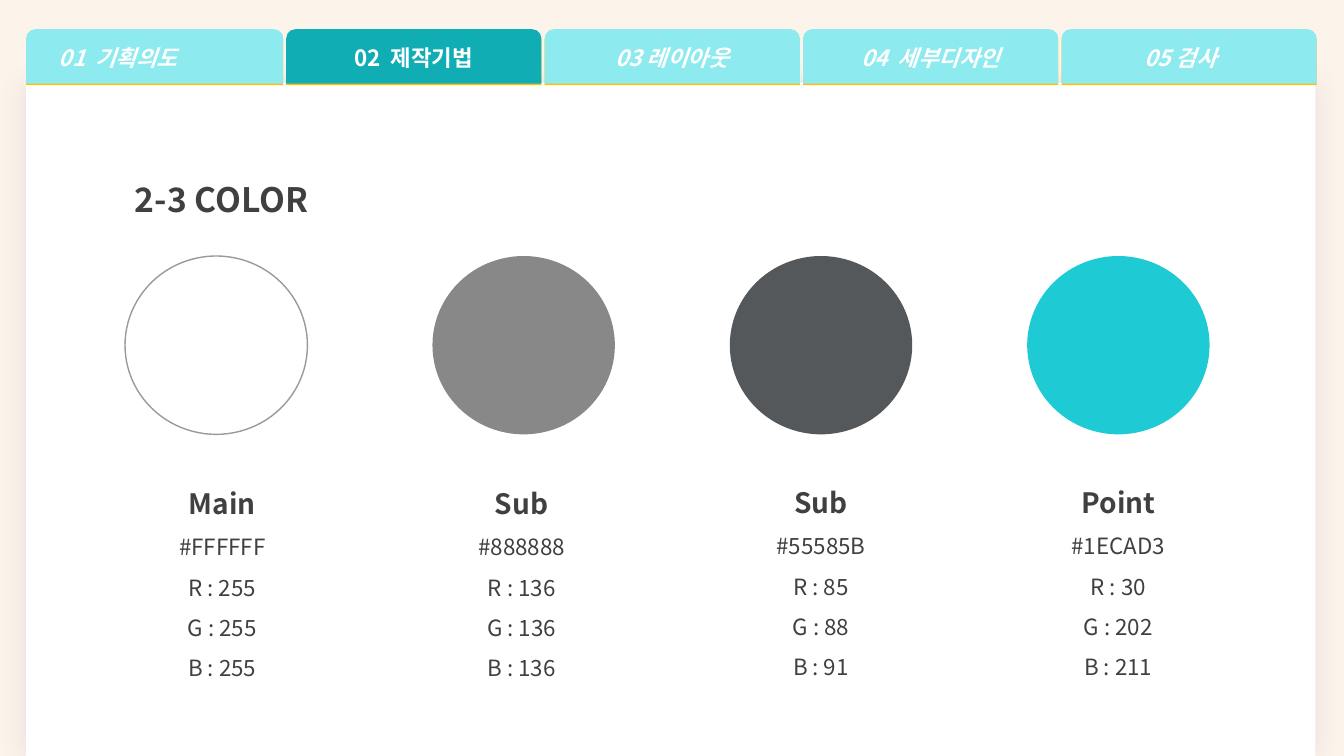
"""Build the colour palette slide with its row of section tabs."""
from dataclasses import dataclass

from lxml import etree
from pptx import Presentation
from pptx import util as u
from pptx.dml.color import RGBColor
from pptx.enum import shapes, text
from pptx.oxml.ns import qn


@dataclass(frozen=True)
class Theme:
    """Colours, font and type sizes of the slide."""
    font: str = "Noto Sans CJK KR"
    backdrop: str = "FCF3EA"
    panel: str = "FFFFFF"
    panel_shadow: str = "7670AE"
    tab: str = "8DEAEF"
    active_tab: str = "10ADB5"
    tab_edge: str = "FFC000"
    tab_text: str = "FFFFFF"
    ink: str = "404040"
    outline: str = "9D9996"
    title: int = 24
    heading: int = 20
    body: int = 16


class PaletteSlide:
    """Draw the elements of one slide in a given theme."""

    def __init__(self, slide, theme):
        """Keep the slide and the theme, and paint the backdrop."""
        self.slide = slide
        self.theme = theme
        fill = slide.background.fill
        fill.solid()
        fill.fore_color.rgb = RGBColor.from_string(theme.backdrop)

    def shape(self, kind, box, color, outline=None):
        """Add a flat preset shape."""
        item = self.slide.shapes.add_shape(kind, *(u.Pt(v) for v in box))
        item.shadow.inherit = False
        item.fill.solid()
        item.fill.fore_color.rgb = RGBColor.from_string(color)
        if outline:
            item.line.color.rgb = RGBColor.from_string(outline)
            item.line.width = u.Pt(1)
        else:
            item.line.fill.background()
        return item

    def cast_shadow(self, item, color, opacity, blur=0, distance=0, angle=0):
        """Give a shape an outer shadow."""
        effects = item._element.spPr.find(qn("a:effectLst"))
        shadow = etree.SubElement(
            effects, qn("a:outerShdw"), blurRad=str(u.Pt(blur)),
            dist=str(u.Pt(distance)), dir=str(angle * 60000),
            algn="ctr", rotWithShape="0")
        tint = etree.SubElement(shadow, qn("a:srgbClr"), val=color)
        etree.SubElement(tint, qn("a:alpha"), val=str(opacity * 1000))

    def run(self, paragraph, words, size, color, bold=False, italic=False, spacing=0):
        """Add one styled run, with optional extra letter spacing."""
        run = paragraph.add_run()
        run.text = words
        font = run.font
        font.name, font.size = self.theme.font, u.Pt(size)
        font.bold, font.italic = bold, italic
        font.color.rgb = RGBColor.from_string(color)
        properties = run._r.get_or_add_rPr()
        etree.SubElement(properties, qn("a:ea"), typeface=self.theme.font)
        if spacing:
            properties.set("spc", str(round(spacing * 100)))

    def panel(self, box):
        """Add the white sheet below the tabs."""
        sheet = self.shape(shapes.MSO_SHAPE.ROUND_2_SAME_RECTANGLE, box, self.theme.panel)
        sheet.adjustments[0] = 0
        self.cast_shadow(sheet, self.theme.panel_shadow, 14, blur=18)

    def tab(self, box, number, label, gap=0, shift=0, active=False):
        """Add a section tab; shift widens the right inset."""
        theme = self.theme
        color = theme.active_tab if active else theme.tab
        tab = self.shape(shapes.MSO_SHAPE.ROUND_2_SAME_RECTANGLE, box, color)
        self.cast_shadow(tab, theme.tab_edge, 100, distance=1, angle=90)
        frame = tab.text_frame
        frame.word_wrap = True
        frame.margin_right = u.Pt(7.2 + shift)
        frame.vertical_anchor = text.MSO_ANCHOR.MIDDLE
        caption = frame.paragraphs[0]
        caption.alignment = text.PP_ALIGN.CENTER
        for words, spacing in ((number, 0), (" ", gap), (label, 0)):
            self.run(caption, words, theme.body, theme.tab_text, True, not active, spacing)

    def lines(self, box, rows, alignment):
        """Add a text box from rows of words, size and weight."""
        frame = self.slide.shapes.add_textbox(*(u.Pt(v) for v in box)).text_frame
        frame.word_wrap = True
        for index, (words, size, bold) in enumerate(rows):
            line = frame.add_paragraph() if index else frame.paragraphs[0]
            line.alignment = alignment
            line.line_spacing = 1.5
            self.run(line, words, size, self.theme.ink, bold)

    def swatch(self, circle_left, text_left, text_top, role, color, outline=None):
        """Add a colour circle with its role, hex code and RGB values."""
        theme = self.theme
        self.shape(shapes.MSO_SHAPE.OVAL, (circle_left, 182.9, 130.3, 127.4), color, outline)
        channels = zip("RGB", RGBColor.from_string(color))
        values = [f"#{color}"] + [f"{name} : {value}" for name, value in channels]
        rows = [(role, theme.heading, True)] + [(value, theme.body, False) for value in values]
        self.lines((text_left, text_top, 179.3, 188.6), rows, text.PP_ALIGN.CENTER)


def main():
    """Compose and save the slide."""
    deck = Presentation()
    deck.slide_width, deck.slide_height = u.Pt(960), u.Pt(540)
    theme = Theme()
    page = PaletteSlide(deck.slides.add_slide(deck.slide_layouts[6]), theme)

    page.panel((18.7, 59, 920.9, 481))
    tab_top, tab_height = 20.9, 38.9
    page.tab((18.7, tab_top, 183.6, tab_height), "01", "기획의도", gap=3.6, shift=52)
    sections = (
        ("02", "제작기법", 3.6, 0, True),
        ("03", "레이아웃", 0, 0, False),
        ("04", "세부디자인", 3.6, 0, False),
        ("05", "검사", 0, 12, False),
    )
    for index, section in enumerate(sections):
        page.tab((204.5 + 184.6 * index, tab_top, 182.2, tab_height), *section)

    page.lines((89.3, 110.2, 316.8, 45.4), [("2-3 COLOR", theme.title, True)],
               text.PP_ALIGN.LEFT)
    page.swatch(89.3, 69.1, 331.9, "Main", "FFFFFF", theme.outline)
    page.swatch(308.9, 283, 331.9, "Sub", "888888")
    page.swatch(521.3, 496.8, 331.2, "Sub", "55585B")
    page.swatch(733.7, 709.2, 331.2, "Point", "1ECAD3")
    deck.save("out.pptx")


if __name__ == "__main__":
    main()
